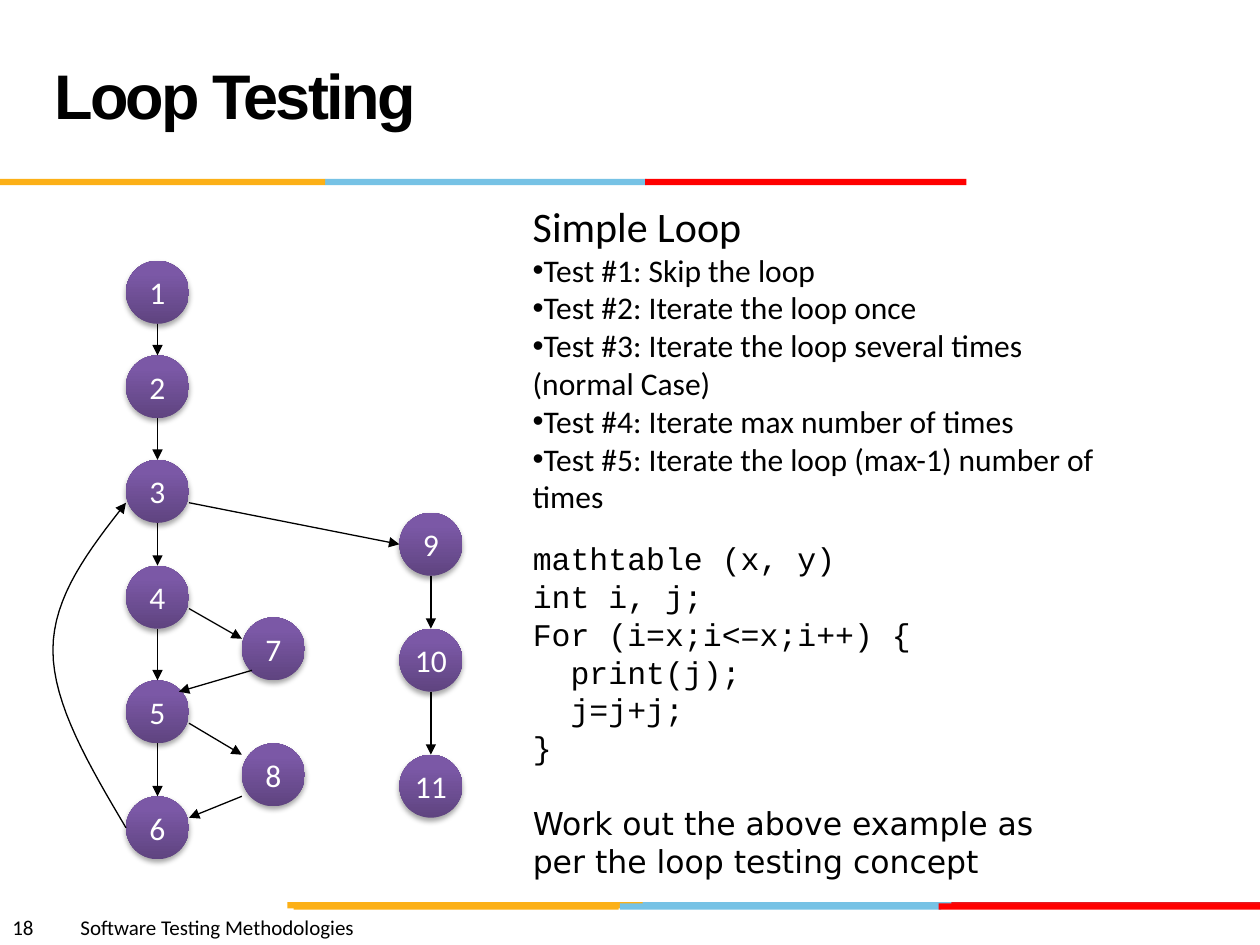
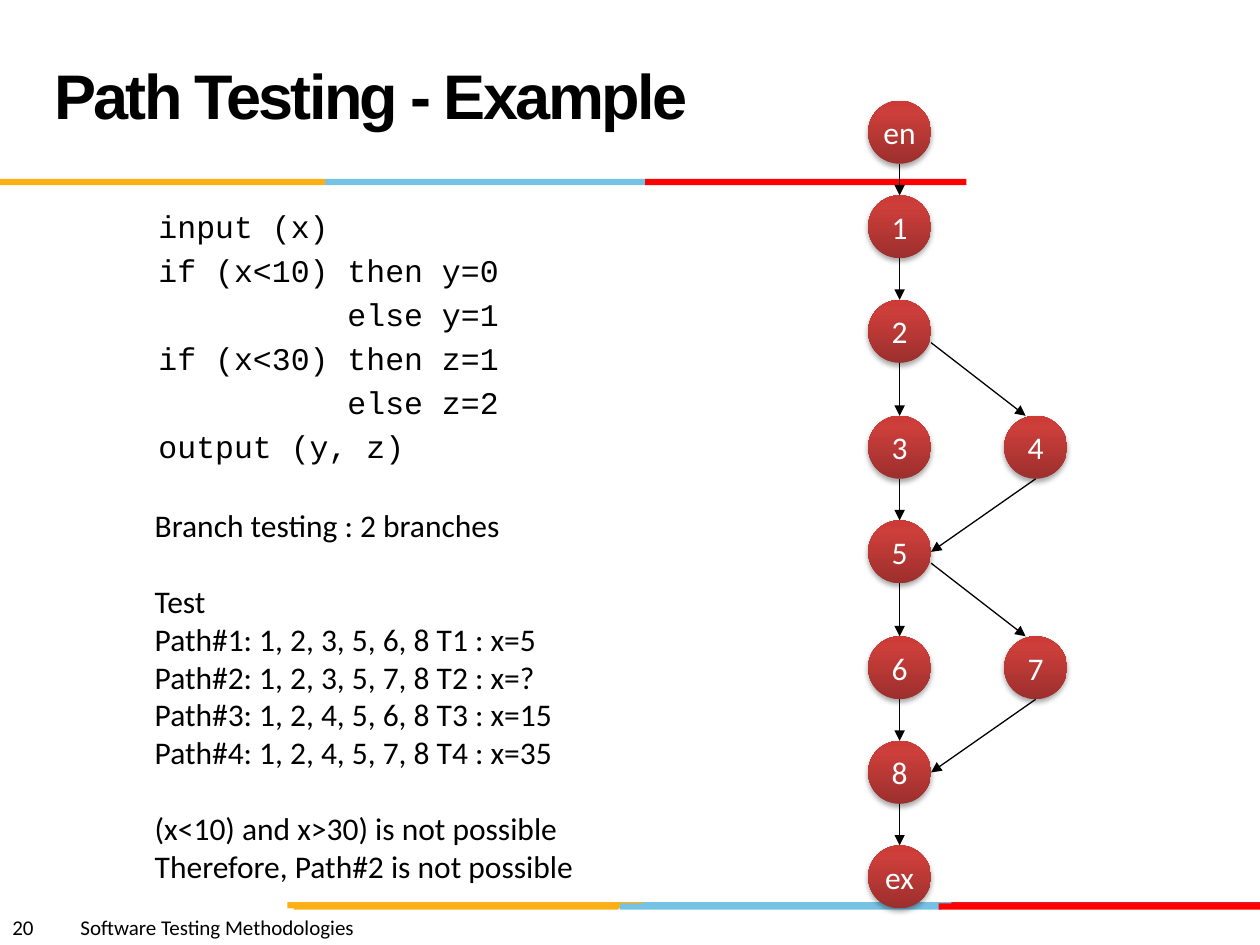
from dataclasses import dataclass
from itertools import pairwise
from typing import NamedTuple

import pptx
import pptx.dml.color
import pptx.enum.dml
import pptx.enum.shapes
import pptx.enum.text
import pptx.oxml
import pptx.oxml.ns
import pptx.util
from lxml import etree
from pptx.dml.color import RGBColor
from pptx.util import Inches

BLACK = RGBColor(0x00, 0x00, 0x00)
WHITE = RGBColor(0xFF, 0xFF, 0xFF)
GOLD = RGBColor(0xFC, 0xB0, 0x17)
SKY = RGBColor(0x76, 0xC2, 0xE5)
CRIMSON = RGBColor(0xE3, 0x1C, 0x24)
RED = RGBColor(0xFF, 0x00, 0x00)

# Gradient stops from the bottom of a node to its top
STOP_POSITIONS = (0, 80, 100)
PURPLE_NODE = (RGBColor(0x5F, 0x44, 0x80), RGBColor(0x7B, 0x58, 0xA6),
               RGBColor(0x7C, 0x57, 0xA8))
RED_NODE = (RGBColor(0x9C, 0x2F, 0x2D), RGBColor(0xCB, 0x3E, 0x3A),
            RGBColor(0xCE, 0x3B, 0x37))

BODY_FONT = "Calibri"
CODE_FONT = "Courier New"
BLANK_LINE = 21.6  # points
FOOTER = "Software Testing Methodologies"

# Anchor points on a node, in inches from its top left corner
NODE_SIZE = 0.5
TOP = (0.25, 0)
BOTTOM = (0.25, 0.5)
LEFT = (0, 0.25)
RIGHT = (0.5, 0.25)
RIGHT_HIGH = (0.5, 0.17)
RIGHT_LOW = (0.5, 0.34)
LEFT_HIGH = (0, 0.17)
LEFT_LOW = (0, 0.42)
UPPER_LEFT = (0, 0.09)
UPPER_RIGHT = (0.42, 0.09)
LOWER_LEFT = (0.08, 0.42)
TOP_LEFT = (0.17, 0)


class Band(NamedTuple):
    left: float
    top: float
    width: float
    color: RGBColor


class Edge(NamedTuple):
    start: str
    start_anchor: tuple[float, float]
    end: str
    end_anchor: tuple[float, float]


@dataclass
class Para:
    text: str
    size: float = 18
    font: str = BODY_FONT
    before: float = 0
    bullet: bool = False


@dataclass
class Column:
    left: float
    tops: dict[str, float]
    chained: bool = True


BANDS = (
    Band(5.06, 7.16, 2.55, SKY), Band(7.55, 7.16, 2.45, CRIMSON), Band(2.28, 7.16, 2.82, GOLD),
    Band(4.92, 7.17, 2.55, SKY), Band(2.33, 7.17, 2.58, GOLD), Band(7.45, 7.17, 2.55, RED),
    Band(2.58, 1.42, 2.55, SKY), Band(0, 1.42, 2.58, GOLD), Band(5.12, 1.42, 2.55, RED),
)


def add_child(parent, tag: str, **attributes: str):
    """Append a DrawingML element and return it."""
    child = etree.SubElement(parent, pptx.oxml.ns.qn(tag))
    for name, value in attributes.items():
        child.set(name, value)
    return child


def style_font(p, size: float, name: str, color: RGBColor) -> None:
    p.font.size = pptx.util.Pt(size)
    p.font.name = name
    p.font.color.rgb = color


def add_text(s, left: float, top: float, width: float, height: float, paras: list[Para]) -> None:
    box = s.shapes.add_textbox(Inches(left), Inches(top), Inches(width), Inches(height))
    tf = box.text_frame
    tf.word_wrap = True
    for i, para in enumerate(paras):
        p = tf.add_paragraph() if i else tf.paragraphs[0]
        p.text = para.text
        pPr = p._p.get_or_add_pPr()
        if para.bullet:
            add_child(pPr, "a:buFont", typeface="Arial")
            add_child(pPr, "a:buChar", char="•")
        if "\t" in para.text:
            tabs = add_child(pPr, "a:tabLst")
            add_child(tabs, "a:tab", pos=str(Inches(0.54)), algn="l")
        if para.before:
            p.space_before = pptx.util.Pt(para.before)
        style_font(p, para.size, para.font, BLACK)


def add_base_slide(prs, title: str, number: int):
    """Add a slide with the shared bands, footer and title."""
    s = prs.slides.add_slide(prs.slide_layouts[5])
    for band in BANDS:
        bar = s.shapes.add_shape(pptx.enum.shapes.MSO_SHAPE.RECTANGLE, Inches(band.left),
                                 Inches(band.top), Inches(band.width), Inches(0.05))
        bar.shadow.inherit = False
        bar.fill.solid()
        bar.fill.fore_color.rgb = band.color
        bar.line.fill.background()
    add_text(s, 0, 7.21, 5, 0.3, [Para(f"{number}\t{FOOTER}", size=12)])

    sp = s.shapes.title
    sp.left, sp.top, sp.width, sp.height = Inches(0.33), Inches(0.17), Inches(6.92), Inches(1.25)
    tf = sp.text_frame
    tf.text = title
    tf.auto_size = pptx.enum.text.MSO_AUTO_SIZE.NONE
    tf.vertical_anchor = pptx.enum.text.MSO_ANCHOR.MIDDLE
    p = tf.paragraphs[0]
    p.alignment = pptx.enum.text.PP_ALIGN.LEFT
    p.line_spacing = pptx.util.Pt(36)
    style_font(p, 36, "Arial", BLACK)
    p.font.bold = True
    p.runs[0]._r.get_or_add_rPr().set("spc", "-150")
    return s


def add_node(s, label: str, left: float, top: float, colors: tuple[RGBColor, ...]) -> None:
    sp = s.shapes.add_shape(pptx.enum.shapes.MSO_SHAPE.FLOWCHART_CONNECTOR, Inches(left),
                            Inches(top), Inches(NODE_SIZE), Inches(NODE_SIZE))
    sp.line.fill.background()
    # Gradient fill
    sp.fill.gradient()
    sp.fill.gradient_angle = 90
    stops = sp._element.spPr.find(".//" + pptx.oxml.ns.qn("a:gsLst"))
    for stop in list(stops):
        stops.remove(stop)
    for position, color in zip(STOP_POSITIONS, colors):
        stop = add_child(stops, "a:gs", pos=str(position * 1000))
        add_child(stop, "a:srgbClr", val=str(color))
    # Soft shadow below
    sp.shadow.inherit = False
    effects = sp._element.spPr.find(pptx.oxml.ns.qn("a:effectLst"))
    shadow = add_child(effects, "a:outerShdw", blurRad=str(pptx.util.Pt(3.1)),
                       dist=str(pptx.util.Pt(1.8)), dir="5400000", rotWithShape="0")
    shade = add_child(shadow, "a:srgbClr", val=str(BLACK))
    add_child(shade, "a:alpha", val="35000")
    # Label
    tf = sp.text_frame
    tf.word_wrap = False
    tf.vertical_anchor = pptx.enum.text.MSO_ANCHOR.MIDDLE
    p = tf.paragraphs[0]
    p.text = label
    p.alignment = pptx.enum.text.PP_ALIGN.CENTER
    style_font(p, 18, BODY_FONT, WHITE)


def style_arrow(shape, end: str) -> None:
    shape.line.color.rgb = BLACK
    shape.line.width = pptx.util.Pt(0.75)
    add_child(shape.line._get_or_add_ln(), end, type="triangle")


def add_arrow(s, start: tuple[float, float], end: tuple[float, float]) -> None:
    line = s.shapes.add_connector(pptx.enum.shapes.MSO_CONNECTOR.STRAIGHT,
                                  *(Inches(v) for v in (*start, *end)))
    style_arrow(line, "a:tailEnd")
    add_child(line._element.spPr, "a:effectLst")


def add_graph(s, columns: list[Column], edges: list[Edge], colors: tuple[RGBColor, ...]) -> None:
    """Draw the nodes, the arrows down each chained column and the other edges."""
    places = {label: (col.left, top) for col in columns for label, top in col.tops.items()}
    for label, (left, top) in places.items():
        add_node(s, label, left, top, colors)
    chains = [Edge(a, BOTTOM, b, TOP)
              for col in columns if col.chained for a, b in pairwise(col.tops)]
    for edge in chains + edges:
        (x1, y1), (dx1, dy1) = places[edge.start], edge.start_anchor
        (x2, y2), (dx2, dy2) = places[edge.end], edge.end_anchor
        add_arrow(s, (x1 + dx1, y1 + dy1), (x2 + dx2, y2 + dy2))


def bezier(points: list[tuple[float, float]], t: float) -> tuple[float, float]:
    weights = ((1 - t) ** 3, 3 * t * (1 - t) ** 2, 3 * t ** 2 * (1 - t), t ** 3)
    x, y = (sum(w * point[axis] for w, point in zip(weights, points)) for axis in (0, 1))
    return Inches(x), Inches(y)


def add_loop_back(s) -> None:
    """Draw the curved arrow from node 6 back to node 3."""
    halves = ([(1, 3.99), (0.71, 4.36), (0.42, 4.73), (0.42, 5.16)],
              [(0.42, 5.16), (0.42, 5.59), (0.71, 6.08), (1, 6.57)])
    steps = 16
    points = [bezier(half, i / steps) for half in halves for i in range(steps + 1)]
    builder = s.shapes.build_freeform(*points[0])
    builder.add_line_segments(points[1:], close=False)
    curve = builder.convert_to_shape()
    curve.shadow.inherit = False
    curve.fill.background()
    style_arrow(curve, "a:headEnd")


def build_loop_testing(prs) -> None:
    s = add_base_slide(prs, "Loop Testing", 18)
    columns = [
        Column(1, {"1": 2.07, "2": 2.82, "3": 3.65, "4": 4.49, "5": 5.4, "6": 6.32}),
        Column(1.92, {"7": 4.9, "8": 5.9}, chained=False),
        Column(3.17, {"9": 4.07, "10": 4.99, "11": 5.99}),
    ]
    edges = [
        Edge("4", RIGHT_LOW, "7", LEFT_HIGH), Edge("7", LOWER_LEFT, "5", UPPER_RIGHT),
        Edge("5", RIGHT_LOW, "8", UPPER_LEFT), Edge("8", LEFT_LOW, "6", RIGHT_HIGH),
        Edge("3", RIGHT_LOW, "9", LEFT),
    ]
    add_graph(s, columns, edges, PURPLE_NODE)
    add_loop_back(s)

    tests = ("Skip the loop", "Iterate the loop once",
             "Iterate the loop several times (normal Case)", "Iterate max number of times",
             "Iterate the loop (max-1) number of times")
    add_text(s, 4.13, 1.54, 4.77, 2.6, [Para("Simple Loop", size=24)] + [
        Para(f"Test #{i}: {test}", bullet=True) for i, test in enumerate(tests, 1)])

    code = ("mathtable (x, y)", "int i, j;", "For (i=x;i<=x;i++) {",
            "  print(j);", "  j=j+j;", "}")
    task = Para("Work out the above example as per the loop testing concept",
                font="DejaVu Sans", before=BLANK_LINE)
    add_text(s, 4.13, 4.23, 4.35, 2.8, [Para(line, font=CODE_FONT) for line in code] + [task])


def build_path_testing(prs) -> None:
    s = add_base_slide(prs, "Path Testing - Example", 20)
    code = ("input (x)", "if (x<10) then y=0", "          else y=1",
            "if (x<30) then z=1", "          else z=2", "output (y, z)")
    add_text(s, 1.16, 1.59, 4, 2.24, [
        Para(line, font=CODE_FONT, before=3.6 if i else 0) for i, line in enumerate(code)])

    columns = [
        Column(6.89, {"en": 0.8, "1": 1.55, "2": 2.38, "3": 3.3, "5": 4.13,
                      "6": 5.05, "8": 5.88, "ex": 6.71}),
        Column(7.97, {"4": 3.3, "7": 5.05}, chained=False),
    ]
    edges = []
    for branch, side, join in (("2", "4", "5"), ("5", "7", "8")):
        edges += [Edge(branch, RIGHT_LOW, side, TOP_LEFT), Edge(side, BOTTOM, join, RIGHT)]
    add_graph(s, columns, edges, RED_NODE)

    add_text(s, 1.13, 3.97, 4, 3.13, [
        Para("Branch testing : 2 branches"),
        Para("Test", before=BLANK_LINE),
        Para("Path#1: 1, 2, 3, 5, 6, 8 T1 : x=5"),
        Para("Path#2: 1, 2, 3, 5, 7, 8 T2 : x=?"),
        Para("Path#3: 1, 2, 4, 5, 6, 8 T3 : x=15"),
        Para("Path#4: 1, 2, 4, 5, 7, 8 T4 : x=35"),
        Para("(x<10) and x>30) is not possible", before=BLANK_LINE),
        Para("Therefore, Path#2 is not possible"),
    ])


def main() -> None:
    prs = pptx.Presentation()
    prs.slide_width, prs.slide_height = Inches(10), Inches(7.5)
    build_loop_testing(prs)
    build_path_testing(prs)
    prs.save("out.pptx")


if __name__ == "__main__":
    main()
